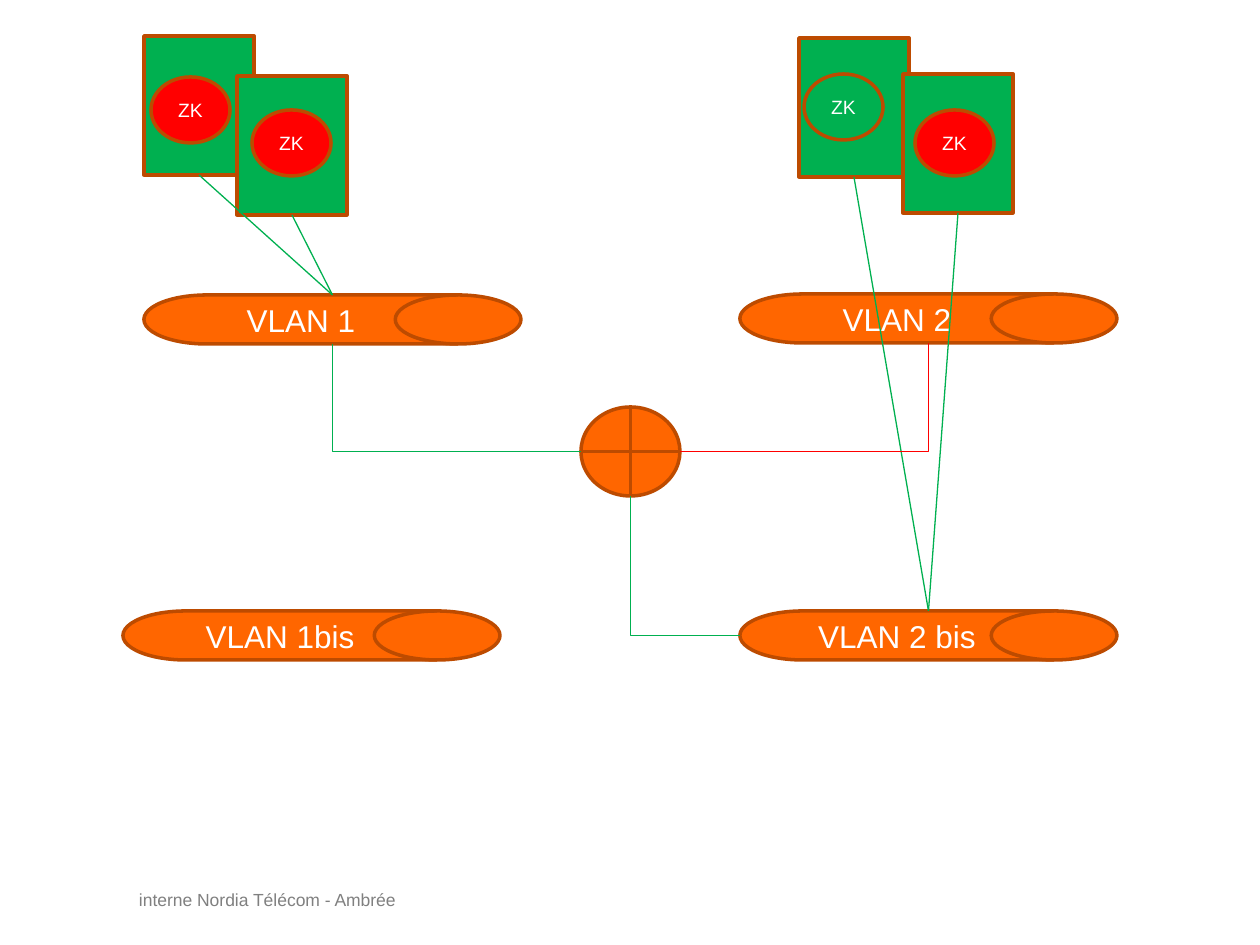
from dataclasses import dataclass

from lxml.etree import SubElement
from pptx import Presentation
from pptx.dml.color import RGBColor as RGB
from pptx.enum.shapes import MSO_CONNECTOR as LINK, MSO_SHAPE as SHAPE
from pptx.enum.text import MSO_ANCHOR as ANCHOR, PP_ALIGN as ALIGN
from pptx.oxml.ns import qn
from pptx.util import Emu, Pt


@dataclass(frozen=True)
class Theme:
    font: str = "Arial"
    green: RGB = RGB(0x00, 0xB0, 0x50)
    red: RGB = RGB(0xFF, 0x00, 0x00)
    orange: RGB = RGB(0xFF, 0x66, 0x00)
    outline: RGB = RGB(0xBD, 0x4B, 0x00)
    white: RGB = RGB(0xFF, 0xFF, 0xFF)
    gray: RGB = RGB(0x80, 0x80, 0x80)
    vlan_size: Pt = Pt(18)
    node_size: Pt = Pt(11)
    footer_size: Pt = Pt(10)


T = Theme()
PX = 914400 / 126

prs = Presentation()
prs.slide_width, prs.slide_height = Emu(round(1260 * PX)), Emu(round(945 * PX))
s = prs.slides.add_slide(prs.slide_layouts[6])


def add_node(kind, box, fill, text="", size=None):
    """Add an outlined shape, box being left, top, width and height in px."""
    sp = s.shapes.add_shape(kind, *(Emu(round(v * PX)) for v in box))
    sp.shadow.inherit = False
    sp.fill.solid()
    sp.fill.fore_color.rgb = fill
    sp.line.color.rgb = T.outline
    sp.line.width = Pt(2)
    if text:
        tf = sp.text_frame
        tf.vertical_anchor = ANCHOR.MIDDLE
        p = tf.paragraphs[0]
        p.alignment = ALIGN.CENTER
        r = p.add_run()
        r.text = text
        r.font.name, r.font.size, r.font.color.rgb = T.font, size, T.white
    return sp


def add_link(kind, start, end, color):
    cn = s.shapes.add_connector(kind, *start, *end)
    cn.line.color.rgb = color
    cn.line.width = Pt(0.75)
    SubElement(cn._element.spPr, qn("a:effectLst"))
    return cn


# Footer
tb = s.shapes.add_textbox(*(Emu(round(v * PX)) for v in (139, 883, 386, 25)))
tf = tb.text_frame
tf.word_wrap = True
tf.margin_left = tf.margin_right = 0
r = tf.paragraphs[0].add_run()
r.text = "interne Nordia Télécom - Ambrée"
r.font.name, r.font.size, r.font.color.rgb = T.font, T.footer_size, T.gray

# Servers, VLANs and the router
servers = [add_node(SHAPE.RECTANGLE, (x, y, 110, 139), T.green)
           for x, y in ((144, 36), (237, 76), (799, 38), (903, 74))]
vlan1, vlan2, vlan2bis, vlan1bis = [
    add_node(SHAPE.FLOWCHART_DIRECT_ACCESS_STORAGE, (x, y, 377, 49),
             T.orange, text, T.vlan_size)
    for x, y, text in ((144, 295, "VLAN 1"), (740, 294, "VLAN 2"),
                       (740, 611, "VLAN 2 bis"), (123, 611, "VLAN 1bis"))]
router = add_node(SHAPE.FLOWCHART_OR, (581, 407, 99, 89), T.orange)

# Each server's bottom centre joins its VLAN's top centre
for server, vlan in zip(servers, (vlan1, vlan1, vlan2bis, vlan2bis)):
    cn = add_link(LINK.STRAIGHT, (0, 0), (0, 0), T.green)
    cn.begin_connect(server, 2)
    cn.end_connect(vlan, 0)

# Router links run horizontally first, then turn once
mid_x = router.left + router.width // 2
mid_y = router.top + router.height // 2
vlan1_bottom, vlan2_bottom = [
    (v.left + v.width // 2, v.top + v.height) for v in (vlan1, vlan2)]
for start, end, color in (
        ((router.left, mid_y), vlan1_bottom, T.green),
        ((router.left + router.width, mid_y), vlan2_bottom, T.red),
        ((vlan2bis.left, vlan2bis.top + vlan2bis.height // 2),
         (mid_x, router.top + router.height), T.green)):
    cn = add_link(LINK.ELBOW, start, end, color)
    cn._element.spPr.find(qn("a:prstGeom")).set("prst", "bentConnector2")

# ZK nodes on the servers
for x, y, fill in ((151, 77, T.red), (252, 110, T.red),
                   (804, 74, T.green), (915, 110, T.red)):
    add_node(SHAPE.OVAL, (x, y, 79, 66), fill, "ZK", T.node_size)

prs.save("out.pptx")
